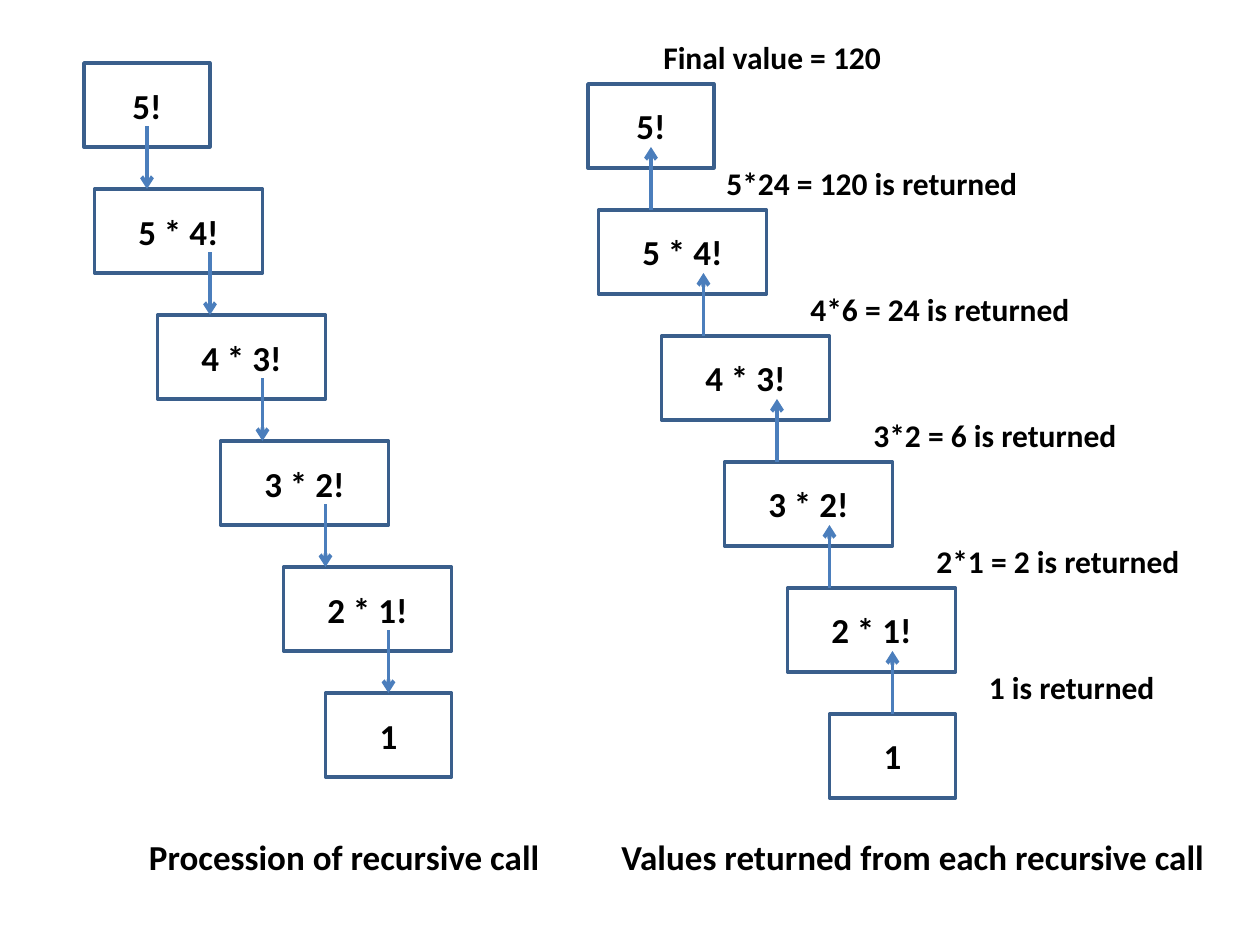
import pptx
import pptx.util
import pptx.dml.color
import pptx.enum.shapes
import pptx.enum.text
import pptx.oxml.ns
from lxml import etree
from dataclasses import dataclass

# The slide is a grid of 120 columns by 90 rows, twelve to the inch
CELL = pptx.util.Inches(1) // 12
STEP = 12
BOX_ROWS = 8
ARROW_ROWS = 6
INK, PAPER, BORDER, ARROW = "000000", "FFFFFF", "3A5F8C", "4B7EBC"


@dataclass
class Call:
    text: str
    column: int
    columns: int


@dataclass
class Staircase:
    column: int
    row: int
    arrow_columns: tuple[int, ...]
    upward: bool


@dataclass
class Label:
    text: str
    column: int
    row: int
    columns: int
    rows: float = 4.8
    size: int = 18


CALLS = [
    Call("5!", 8, 12),
    Call("5 * 4!", 9, 16),
    Call("4 * 3!", 15, 16),
    Call("3 * 2!", 21, 16),
    Call("2 * 1!", 27, 16),
    Call("1", 31, 12),
]
STAIRCASES = [
    Staircase(0, 6, (14, 20, 25, 31, 37), upward=False),
    Staircase(48, 8, (62, 67, 74, 79, 85), upward=True),
]
RETURNS = [
    ("Final value = 120", 62, 29),
    ("5*24 = 120 is returned", 68, 43),
    ("4*6 = 24 is returned", 76, 29),
    ("3*2 = 6 is returned", 82, 29),
    ("2*1 = 2 is returned", 88, 29),
    ("1 is returned", 93, 22),
]
CAPTIONS = [
    Label("Procession of recursive call", 13, 79, 41, 5.25, 20),
    Label("Values returned from each recursive call", 58, 79, 60, 5.25, 20),
]


def grid(cells: float) -> int:
    return int(cells * CELL)


def color(value: str) -> pptx.dml.color.RGBColor:
    return pptx.dml.color.RGBColor.from_string(value)


def write(shape, text: str, size: int) -> None:
    paragraph = shape.text_frame.paragraphs[0]
    paragraph.text = text
    paragraph.font.name = "Calibri"
    paragraph.font.size = pptx.util.Pt(size)
    paragraph.font.bold = True
    paragraph.font.color.rgb = color(INK)


def add_call(page, call: Call, column: int, row: int) -> None:
    box = page.shapes.add_shape(
        pptx.enum.shapes.MSO_SHAPE.RECTANGLE,
        grid(column + call.column), grid(row), grid(call.columns), grid(BOX_ROWS))
    box.shadow.inherit = False
    box.fill.solid()
    box.fill.fore_color.rgb = color(PAPER)
    box.line.color.rgb = color(BORDER)
    box.line.width = pptx.util.Pt(2)
    write(box, call.text, 20)
    box.text_frame.vertical_anchor = pptx.enum.text.MSO_ANCHOR.MIDDLE
    box.text_frame.paragraphs[0].alignment = pptx.enum.text.PP_ALIGN.CENTER


def add_arrow(page, column: int, start: int, end: int) -> None:
    arrow = page.shapes.add_connector(
        pptx.enum.shapes.MSO_CONNECTOR.STRAIGHT,
        grid(column), grid(start), grid(column), grid(end))
    arrow.line.color.rgb = color(ARROW)
    arrow.line.width = pptx.util.Pt(2.25)
    qn = pptx.oxml.ns.qn
    properties = arrow.element.spPr
    etree.SubElement(properties.find(qn("a:ln")), qn("a:tailEnd"), type="arrow")
    etree.SubElement(properties, qn("a:effectLst"))


def add_staircase(page, stairs: Staircase) -> None:
    for index, call in enumerate(CALLS):
        add_call(page, call, stairs.column, stairs.row + index * STEP)
    for index, column in enumerate(stairs.arrow_columns, start=1):
        lower = stairs.row + index * STEP
        ends = (lower - ARROW_ROWS, lower)
        start, end = reversed(ends) if stairs.upward else ends
        add_arrow(page, column, start, end)


def add_label(page, label: Label) -> None:
    box = page.shapes.add_textbox(
        grid(label.column), grid(label.row), grid(label.columns), grid(label.rows))
    box.text_frame.word_wrap = True
    box.text_frame.auto_size = pptx.enum.text.MSO_AUTO_SIZE.SHAPE_TO_FIT_TEXT
    write(box, label.text, label.size)


deck = pptx.Presentation()
deck.slide_width = grid(120)
deck.slide_height = grid(90)
page = deck.slides.add_slide(deck.slide_layouts[6])

# Calls going down on the left, results coming back up on the right
for stairs in STAIRCASES:
    add_staircase(page, stairs)

# Returned values, one beside each step
for index, (text, column, columns) in enumerate(RETURNS):
    add_label(page, Label(text, column, 3 + index * STEP, columns))

# Captions under the two staircases
for caption in CAPTIONS:
    add_label(page, caption)

deck.save("out.pptx")
